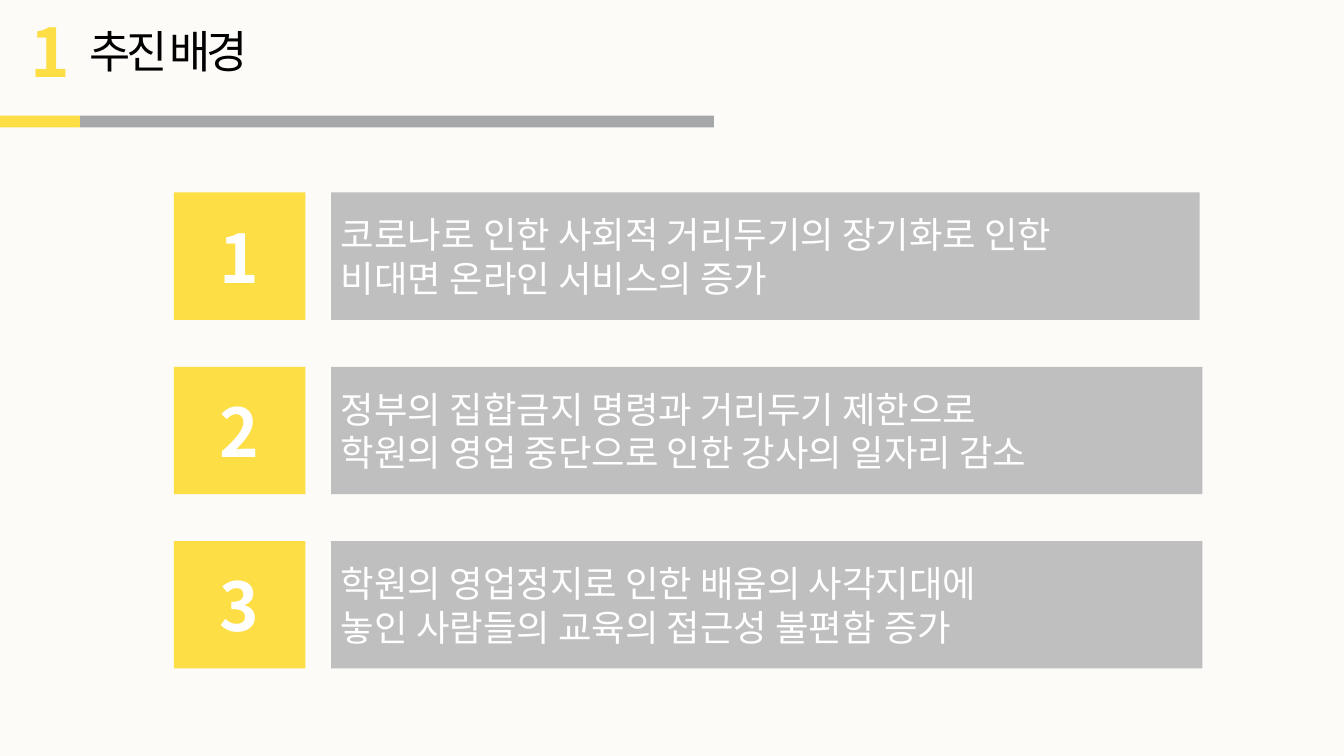
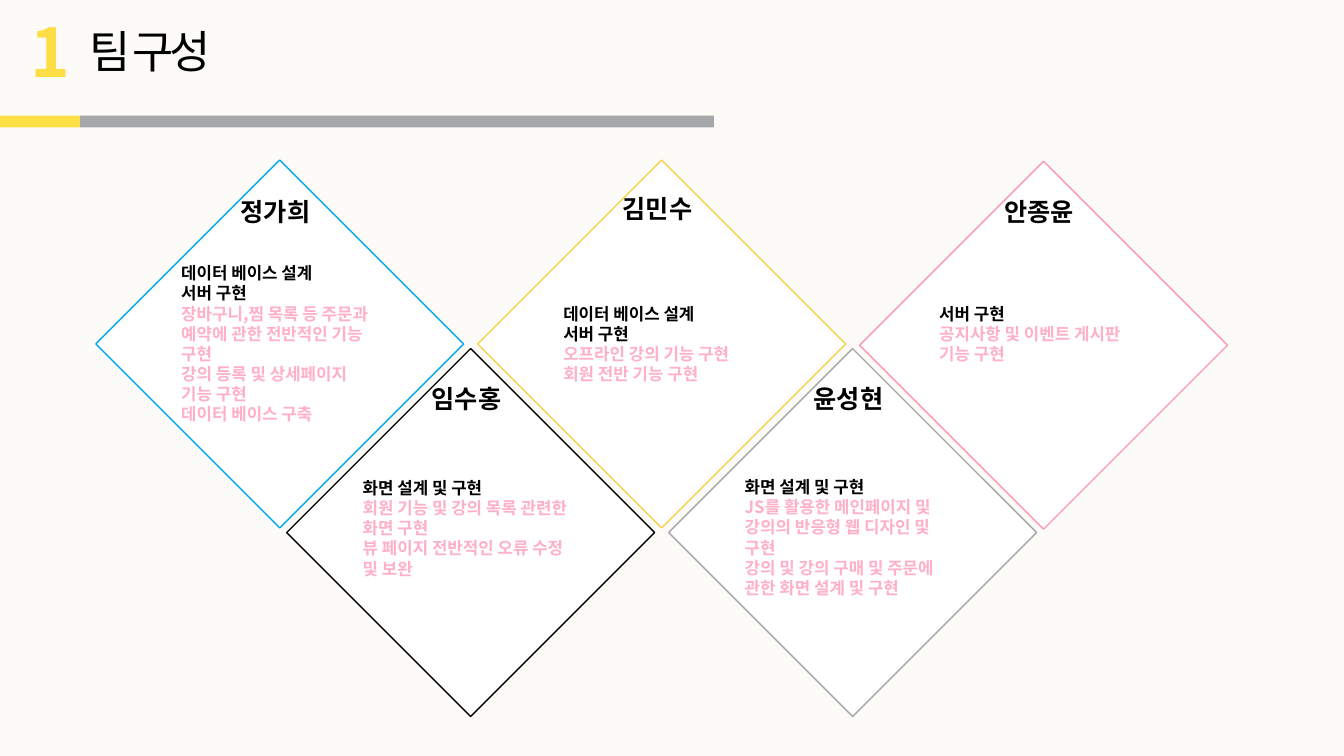
from pptx import Presentation
from pptx.dml.color import RGBColor
from pptx.enum.shapes import MSO_SHAPE as Preset
from pptx.enum.text import MSO_ANCHOR as Anchor, PP_ALIGN as Align
from pptx.oxml.ns import qn
from pptx.util import Pt
from lxml.etree import SubElement

FONT = "Noto Sans CJK KR"
PAPER, YELLOW, GRAY, SILVER = "FCFBF7", "FDDE45", "A6A7A9", "BFBFBF"
BLACK, WHITE, PINK = "000000", "FFFFFF", "FFAFC6"
color = RGBColor.from_string


def add_block(page, preset, left, top, width, height, fill, line=None):
    block = page.shapes.add_shape(preset, Pt(left), Pt(top), Pt(width), Pt(height))
    block.shadow.inherit = False
    block.fill.solid()
    block.fill.fore_color.rgb = color(fill)
    if line:
        block.line.color.rgb = color(line)
        block.line.width = Pt(1)
    else:
        block.line.fill.background()
    return block


def write(box, lines, size, bold=False, align=Align.LEFT, anchor=Anchor.TOP, spacing=0):
    frame = box.text_frame
    frame.word_wrap = True
    frame.vertical_anchor = anchor
    for index, (text, ink) in enumerate(lines):
        para = frame.add_paragraph() if index else frame.paragraphs[0]
        para.alignment = align
        para.line_spacing = Pt(size * 1.2)
        span = para.add_run()
        span.text = text
        span.font.name = FONT
        span.font.size = Pt(size)
        span.font.bold = bold
        span.font.color.rgb = color(ink)
        properties = span.font._element
        SubElement(properties, qn("a:ea")).set("typeface", FONT)
        if spacing:
            properties.set("spc", str(spacing * 100))


deck = Presentation()
deck.slide_width, deck.slide_height = Pt(960), Pt(540)

pages = []
for title in ("추진 배경", "팀 구성"):
    page = deck.slides.add_slide(deck.slide_layouts[6])
    page.background.fill.solid()
    page.background.fill.fore_color.rgb = color(PAPER)
    add_block(page, Preset.RECTANGLE, 57, 82.6, 453, 8.4, GRAY)
    add_block(page, Preset.RECTANGLE, 0, 82.6, 57, 8.4, YELLOW)
    title_box = page.shapes.add_textbox(Pt(57), Pt(13.7), Pt(140), Pt(46))
    write(title_box, [(title, BLACK)], 32, spacing=-3)
    number_box = page.shapes.add_textbox(Pt(14.4), Pt(3.6), Pt(43), Pt(65.5))
    write(number_box, [("1", YELLOW)], 48, bold=True)
    pages.append(page)

background_page, team_page = pages

reasons = [
    (620.5, "코로나로 인한 사회적 거리두기의 장기화로 인한", "비대면 온라인 서비스의 증가"),
    (622.5, "정부의 집합금지 명령과 거리두기 제한으로", "학원의 영업 중단으로 인한 강사의 일자리 감소"),
    (622.5, "학원의 영업정지로 인한 배움의 사각지대에", "놓인 사람들의 교육의 접근성 불편함 증가"),
]
for index, (width, *lines) in enumerate(reasons):
    top = 137.5 + index * 124.5
    badge = add_block(background_page, Preset.RECTANGLE, 124.2, top, 94, 91, YELLOW)
    write(badge, [(str(index + 1), WHITE)], 48, True, Align.CENTER, Anchor.MIDDLE)
    bar = add_block(background_page, Preset.RECTANGLE, 236.5, top, width, 91, SILVER)
    write(bar, [(line, WHITE) for line in lines], 26, anchor=Anchor.MIDDLE)

members = [
    ("정가희", "00A9EA", 114.3, 136.8, (122.4, 184.3, 155),
     ["데이터 베이스 설계", "서버 구현"],
     ["장바구니,찜 목록 등 주문과 예약에 관한 전반적인 기능 구현",
      "강의 등록 및 상세페이지 기능 구현", "데이터 베이스 구축"]),
    ("임수홍", BLACK, 249, 270, (252, 337.7, 166.5),
     ["화면 설계 및 구현"],
     ["회원 기능 및 강의 목록 관련한 화면 구현", "뷰 페이지 전반적인 오류 수정 및 보완"]),
    ("김민수", "F8D052", 114.3, 134.6, (395.3, 213.1, 155),
     ["데이터 베이스 설계", "서버 구현"],
     ["오프라인 강의 기능 구현", "회원 전반 기능 구현"]),
    ("윤성현", GRAY, 249, 270, (524.9, 337, 166.5),
     ["화면 설계 및 구현"],
     ["JS를 활용한 메인페이지 및 강의의 반응형 웹 디자인 및 구현",
      "강의 및 강의 구매 및 주문에 관한 화면 설계 및 구현"]),
    ("안종윤", "FF97B5", 115.2, 136.8, (663.8, 213.1, 166.5),
     ["서버 구현"],
     ["공지사항 및 이벤트 게시판 기능 구현"]),
]
for index, (name, outline, top, name_top, detail, roles, tasks) in enumerate(members):
    left = 68.4 + index * 136.4
    add_block(team_page, Preset.DIAMOND, left, top, 262.8, 262.8, WHITE, outline)
    name_box = team_page.shapes.add_textbox(Pt(left + 96.5), Pt(name_top), Pt(70), Pt(29))
    write(name_box, [(name, BLACK)], 18, bold=True)
    detail_left, detail_top, detail_width = detail
    lines = [(role, BLACK) for role in roles] + [(task, PINK) for task in tasks]
    detail_box = team_page.shapes.add_textbox(
        Pt(detail_left), Pt(detail_top), Pt(detail_width), Pt(len(lines) * 14.4 + 7.2))
    write(detail_box, lines, 12, bold=True)

deck.save("out.pptx")
